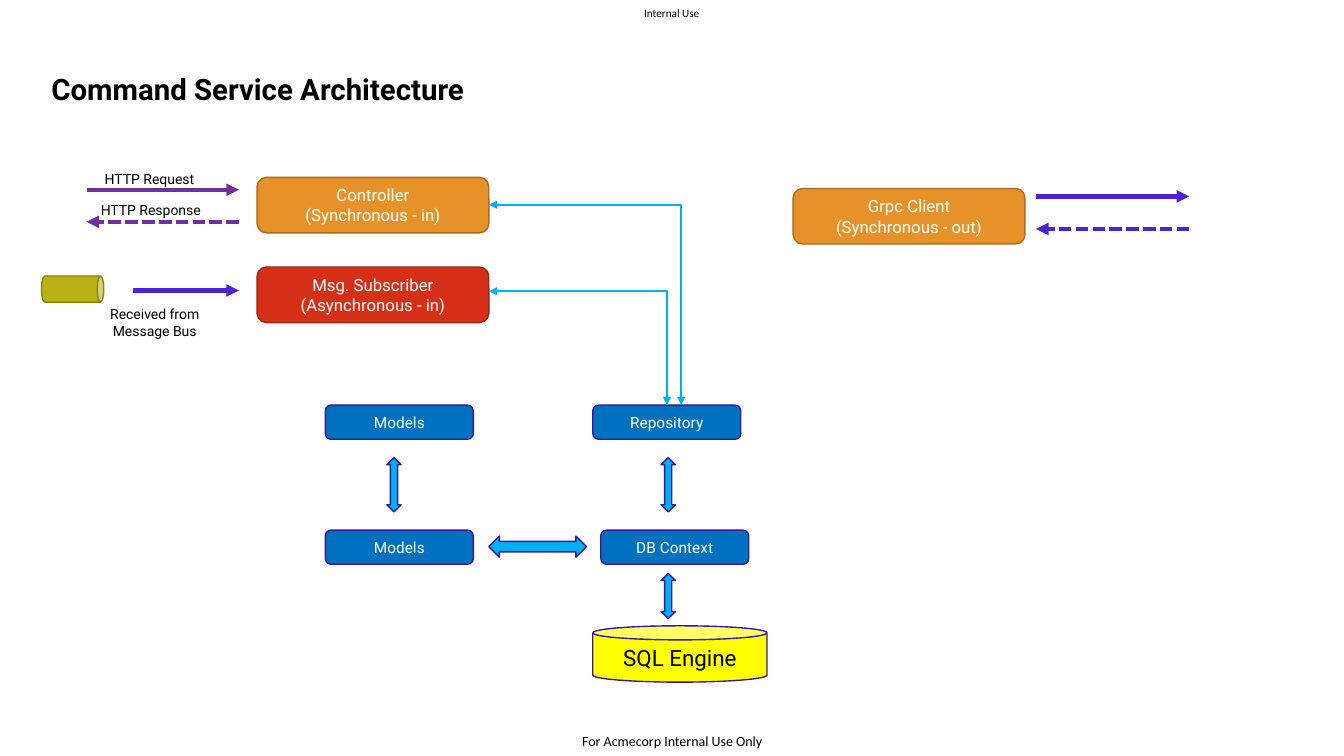
"""Builds the Command Service Architecture slide."""
import dataclasses
import typing

import lxml.etree
import pptx
import pptx.dml.color
import pptx.enum.dml
import pptx.enum.shapes
import pptx.enum.text
import pptx.oxml.ns
import pptx.util

Cm = pptx.util.Cm
ShapeKind = pptx.enum.shapes.MSO_SHAPE
ConnectorKind = pptx.enum.shapes.MSO_CONNECTOR
Align = pptx.enum.text.PP_ALIGN
Anchor = pptx.enum.text.MSO_ANCHOR
AutoSize = pptx.enum.text.MSO_AUTO_SIZE
qn = pptx.oxml.ns.qn


@dataclasses.dataclass(frozen=True)
class Theme:
    black: str = "000000"
    white: str = "FFFFFF"
    yellow: str = "FFFF00"
    orange: str = "E79129"
    orange_edge: str = "AB6B1E"
    red: str = "D53017"
    red_edge: str = "9E2411"
    blue: str = "0070C0"
    sky: str = "00B0F0"
    navy: str = "38189F"
    olive: str = "B8B214"
    olive_edge: str = "88840F"
    violet: str = "4C21D7"
    purple: str = "7030A0"
    font: str = "Roboto"
    marking_font: str = "Calibri"
    title_size: float = 21
    store_size: float = 16
    endpoint_size: float = 12
    component_size: float = 11
    label_size: float = 10
    marking_size: float = 8
    edge_width: float = 1
    link_width: float = 1.5
    flow_width: float = 3


THEME = Theme()


@dataclasses.dataclass(frozen=True)
class Box:
    kind: ShapeKind
    left: float
    top: float
    width: float
    height: float
    fill: str
    edge: str
    text: str = ""
    size: float = THEME.component_size
    color: str = THEME.white
    rotation: float = 0


@dataclasses.dataclass(frozen=True)
class Label:
    text: str
    left: float
    top: float
    width: float
    height: float
    align: Align = Align.CENTER
    size: float = THEME.label_size
    font: str = THEME.font
    margins: typing.Optional[float] = None
    anchor: Anchor = Anchor.TOP


@dataclasses.dataclass(frozen=True)
class Arrow:
    start: tuple[float, float]
    end: tuple[float, float]
    color: str
    dashed: bool = False
    bent: bool = False


def endpoint(text: str, left: float, top: float, fill: str, edge: str) -> Box:
    """Describe a service endpoint."""
    return Box(ShapeKind.ROUNDED_RECTANGLE, left, top, 5.84, 1.4, fill, edge, text, THEME.endpoint_size)


def component(text: str, left: float, top: float) -> Box:
    """Describe an internal component."""
    return Box(ShapeKind.ROUNDED_RECTANGLE, left, top, 3.73, 0.86, THEME.blue, THEME.navy, text)


def exchange(left: float, top: float, height: float) -> Box:
    """Describe a vertical two-way arrow."""
    return Box(ShapeKind.UP_DOWN_ARROW, left, top, 0.36, height, THEME.sky, THEME.navy)


MODELS_LEFT, STORE_LEFT, UPPER_ROW, LOWER_ROW = 8.2, 14.94, 10.21, 13.36
ENDPOINT_LEFT, ENDPOINT_RIGHT = 6.48, 12.32
REQUEST_LEFT, REQUEST_RIGHT = 2.18, 6.02
CALL_LEFT, CALL_RIGHT = 26.11, 29.97

BOXES = [
    Box(ShapeKind.CAN, STORE_LEFT, 15.77, 4.39, 1.42, THEME.yellow, THEME.navy,
        "SQL Engine", THEME.store_size, THEME.black),
    component("DB Context", 15.14, LOWER_ROW),
    component("Models", MODELS_LEFT, LOWER_ROW),
    component("Models", MODELS_LEFT, UPPER_ROW),
    component("Repository", STORE_LEFT, UPPER_ROW),
    Box(ShapeKind.LEFT_RIGHT_ARROW, 12.32, 13.51, 2.46, 0.53, THEME.sky, THEME.navy),
    exchange(9.75, 11.53, 1.37),
    exchange(16.66, 11.53, 1.37),
    exchange(16.66, 14.45, 1.14),
    endpoint("Controller\n(Synchronous - in)", ENDPOINT_LEFT, 4.47, THEME.orange, THEME.orange_edge),
    endpoint("Msg. Subscriber\n(Asynchronous - in)", ENDPOINT_LEFT, 6.73, THEME.red, THEME.red_edge),
    endpoint("Grpc Client\n(Synchronous - out)", 19.99, 4.75, THEME.orange, THEME.orange_edge),
    Box(ShapeKind.CAN, 1.5, 6.5, 0.66, 1.57, THEME.olive, THEME.olive_edge, rotation=90),
]

ARROWS = [
    Arrow((ENDPOINT_RIGHT, 7.34), (16.81, UPPER_ROW), THEME.sky, bent=True),
    Arrow((ENDPOINT_RIGHT, 5.16), (17.17, UPPER_ROW), THEME.sky, bent=True),
    Arrow((3.35, 7.32), (REQUEST_RIGHT, 7.32), THEME.violet),
    Arrow((CALL_RIGHT, 5.77), (CALL_LEFT, 5.77), THEME.violet, dashed=True),
    Arrow((CALL_LEFT, 4.95), (CALL_RIGHT, 4.95), THEME.violet),
    Arrow((REQUEST_RIGHT, 5.59), (REQUEST_LEFT, 5.59), THEME.purple, dashed=True),
    Arrow((REQUEST_LEFT, 4.78), (REQUEST_RIGHT, 4.78), THEME.purple),
]

LABELS = [
    Label("Internal Use", 15.9, 0, 2.06, 0.64, size=THEME.marking_size,
          font=THEME.marking_font, margins=0, anchor=Anchor.MIDDLE),
    Label("For Acmecorp Internal Use Only", 14.3, 18.31, 5.28, 0.74,
          font=THEME.marking_font, margins=0, anchor=Anchor.MIDDLE),
    Label("HTTP Request", 2.39, 4.17, 3.07, 0.71, Align.LEFT),
    Label("HTTP Response", 2.29, 4.95, 3.23, 0.69, Align.LEFT),
    Label("Received from\nMessage Bus", 2.44, 7.57, 2.92, 1.12),
]


def set_values(target: typing.Any, values: dict[str, typing.Any]) -> None:
    """Set every named attribute on the target."""
    for name, value in values.items():
        setattr(target, name, value)


def write_text(frame: typing.Any, text: str, size: float, color: str, align: Align,
               font: str = THEME.font, bold: bool = False) -> None:
    """Write and format the paragraphs of a text frame."""
    frame.text = text
    for para in frame.paragraphs:
        para.alignment = align
        for span in para.runs:
            set_values(span.font, {"name": font, "size": pptx.util.Pt(size), "bold": bold})
            span.font.color.rgb = pptx.dml.color.RGBColor.from_string(color)


def set_line(line: typing.Any, color: str, width: float) -> None:
    """Give a line its colour and width."""
    line.color.rgb = pptx.dml.color.RGBColor.from_string(color)
    line.width = pptx.util.Pt(width)


def draw_box(page: typing.Any, box: Box) -> None:
    """Draw a filled shape with its text."""
    shape = page.shapes.add_shape(box.kind, Cm(box.left), Cm(box.top), Cm(box.width), Cm(box.height))
    shape.shadow.inherit = False
    shape.rotation = box.rotation
    shape.fill.solid()
    shape.fill.fore_color.rgb = pptx.dml.color.RGBColor.from_string(box.fill)
    set_line(shape.line, box.edge, THEME.edge_width)
    if box.text:
        shape.text_frame.vertical_anchor = Anchor.MIDDLE
        write_text(shape.text_frame, box.text, box.size, box.color, Align.CENTER)


def draw_arrow(page: typing.Any, arrow: Arrow) -> None:
    """Draw a one-way flow or a bent two-way link."""
    kind = ConnectorKind.ELBOW if arrow.bent else ConnectorKind.STRAIGHT
    connector = page.shapes.add_connector(kind, *map(Cm, arrow.start + arrow.end))
    set_line(connector.line, arrow.color, THEME.link_width if arrow.bent else THEME.flow_width)
    if arrow.dashed:
        connector.line.dash_style = pptx.enum.dml.MSO_LINE.SQUARE_DOT
    properties = connector.element.spPr
    if arrow.bent:
        properties.find(qn("a:prstGeom")).set("prst", "bentConnector2")
    for tag in ("a:headEnd", "a:tailEnd") if arrow.bent else ("a:tailEnd",):
        lxml.etree.SubElement(properties.find(qn("a:ln")), qn(tag), type="triangle")
    lxml.etree.SubElement(properties, qn("a:effectLst"))


def draw_label(page: typing.Any, label: Label) -> None:
    """Draw a text label."""
    box = page.shapes.add_textbox(Cm(label.left), Cm(label.top), Cm(label.width), Cm(label.height))
    frame = box.text_frame
    set_values(frame, {"word_wrap": label.margins is not None, "vertical_anchor": label.anchor,
                       "auto_size": AutoSize.SHAPE_TO_FIT_TEXT})
    if label.margins is not None:
        sides = ("margin_left", "margin_top", "margin_right", "margin_bottom")
        set_values(frame, dict.fromkeys(sides, Cm(label.margins)))
    write_text(frame, label.text, label.size, THEME.black, label.align, label.font)


def draw_title(page: typing.Any) -> None:
    """Place and format the title."""
    title = page.shapes.title
    set_values(title, {"left": Cm(1.04), "top": Cm(1.19), "width": Cm(12.55), "height": Cm(1.6)})
    set_values(title.text_frame, {"vertical_anchor": Anchor.BOTTOM, "auto_size": AutoSize.NONE,
                                  "word_wrap": True})
    write_text(title.text_frame, "Command Service Architecture", THEME.title_size,
               THEME.black, Align.LEFT, bold=True)
    title.text_frame.paragraphs[0].line_spacing = 0.7


def main() -> None:
    """Build and save the deck."""
    deck = pptx.Presentation()
    set_values(deck, {"slide_width": Cm(33.87), "slide_height": Cm(19.05)})
    page = deck.slides.add_slide(deck.slide_layouts.get_by_name("Title Only"))
    draw_title(page)
    for draw, items in ((draw_box, BOXES), (draw_arrow, ARROWS), (draw_label, LABELS)):
        for item in items:
            draw(page, item)
    deck.save("out.pptx")


if __name__ == "__main__":
    main()
